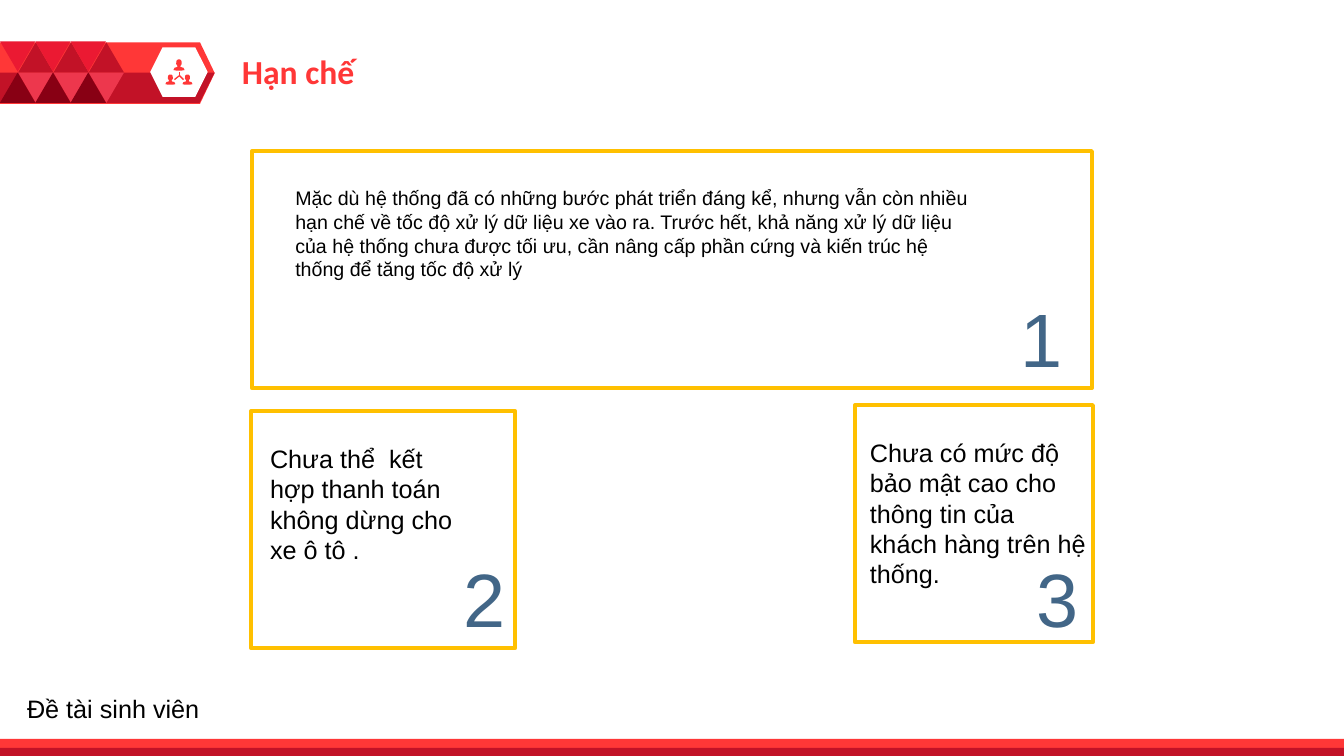
"""Build the slide "Hạn chế": three framed limitations under a red header band."""
from dataclasses import dataclass

from lxml.etree import SubElement
from pptx import Presentation
from pptx.dml.color import RGBColor
from pptx.enum.shapes import MSO_CONNECTOR, MSO_SHAPE
from pptx.enum.text import MSO_ANCHOR, MSO_AUTO_SIZE, PP_ALIGN
from pptx.oxml.ns import qn
from pptx.util import Inches, Pt


@dataclass(frozen=True)
class Theme:
    """Colours, fonts and type sizes of the slide."""
    red: str = "FF3737"
    dark_red: str = "C21227"
    crimson: str = "EB1932"
    rose: str = "ED374D"
    maroon: str = "880014"
    white: str = "FFFFFF"
    black: str = "000000"
    amber: str = "FFC000"
    blue: str = "426687"
    heading_font: str = "Calibri"
    body_font: str = "Arial"
    title_size: int = 24
    body_size: int = 18
    small_size: int = 14
    number_size: int = 54


theme = Theme()
presentation = Presentation()
presentation.slide_width, presentation.slide_height = Inches(13.33), Inches(7.5)
slide = presentation.slides.add_slide(presentation.slide_layouts[5])
shapes = slide.shapes


def paint(shape, fill=None, outline=None):
    """Set the fill and outline of a shape and drop its shadow."""
    shape.shadow.inherit = False
    if fill:
        shape.fill.solid()
        shape.fill.fore_color.rgb = RGBColor.from_string(fill)
    else:
        shape.fill.background()
    if outline:
        shape.line.color.rgb = RGBColor.from_string(outline)
        shape.line.width = Pt(3)
    else:
        shape.line.fill.background()


def write(shape, text, size, color, font=theme.body_font, bold=False, align=PP_ALIGN.LEFT):
    """Put one formatted paragraph into a shape."""
    frame = shape.text_frame
    frame.text = text
    frame_format = {
        "word_wrap": True, "auto_size": MSO_AUTO_SIZE.NONE, "vertical_anchor": MSO_ANCHOR.TOP,
        "margin_left": Inches(0.1), "margin_right": Inches(0.1),
        "margin_top": Inches(0.05), "margin_bottom": Inches(0.05),
    }
    for name, value in frame_format.items():
        setattr(frame, name, value)
    paragraph = frame.paragraphs[0]
    paragraph.alignment = align
    for name, value in {"name": font, "size": Pt(size), "bold": bold}.items():
        setattr(paragraph.runs[0].font, name, value)
    paragraph.runs[0].font.color.rgb = RGBColor.from_string(color)


band = shapes.add_shape(MSO_SHAPE.PENTAGON, *map(Inches, (0, 0.42, 2.13, 0.61)))
band.adjustments[0] = 0.239
paint(band, theme.red)

builder = shapes.build_freeform(Inches(0), Inches(0.72))
builder.add_line_segments([(Inches(x), Inches(y)) for x, y in ((2.13, 0.72), (1.98, 1.02), (0, 1.02))])
paint(builder.convert_to_shape(), theme.dark_red)

badge = shapes.add_shape(MSO_SHAPE.HEXAGON, *map(Inches, (1.49, 0.47, 0.57, 0.49)))
paint(badge, theme.white)

half_person = [(0.2, 0), (0.45, 0.12), (0.5, 0.4), (0.25, 0.6), (0.3, 0.68), (0.8, 0.75), (1, 0.95), (0.5, 1)]
person = half_person + [(-x, y) for x, y in reversed(half_person)]
for center, top, half_width, height in ((1.69, 0.74, 0.05, 0.1), (1.86, 0.74, 0.05, 0.1), (1.775, 0.59, 0.055, 0.11)):
    outline = [(Inches(center + x * half_width), Inches(top + y * height)) for x, y in person]
    builder = shapes.build_freeform(*outline[0])
    builder.add_line_segments(outline[1:])
    paint(builder.convert_to_shape(), theme.red)

for end_x, end_y in ((1.78, 0.71), (1.73, 0.79), (1.82, 0.79)):
    spoke = shapes.add_connector(MSO_CONNECTOR.STRAIGHT, *map(Inches, (1.78, 0.75, end_x, end_y)))
    spoke.line.color.rgb = RGBColor.from_string(theme.red)
    spoke.line.width = Pt(0.9)
    SubElement(spoke._element.spPr, qn("a:effectLst"))

triangle_width = 0.35
for column in range(3):
    for offset, top, rotation, color in (
        (0, 0.41, 180, theme.crimson),
        (0.18, 0.42, 0, theme.dark_red),
        (0.18, 0.72, 180, theme.rose),
        (0, 0.72, 0, theme.maroon),
    ):
        left = column * triangle_width + offset
        triangle = shapes.add_shape(MSO_SHAPE.ISOSCELES_TRIANGLE, *map(Inches, (left, top, triangle_width, 0.3)))
        triangle.rotation = rotation
        paint(triangle, color)

for top, height, color in ((7.33, 0.16, theme.red), (7.42, 0.08, theme.dark_red)):
    stripe = shapes.add_shape(MSO_SHAPE.RECTANGLE, *map(Inches, (0, top, 13.33, height)))
    paint(stripe, color)

title = shapes.title
for name, value in {"left": 2.3, "top": 0.45, "width": 4.22, "height": 0.5}.items():
    setattr(title, name, Inches(value))
write(title, "Hạn chế", theme.title_size, theme.red, theme.heading_font, bold=True)

limitations = [
    ((2.5, 1.5, 8.33, 2.35), (2.83, 1.8, 6.92, 1.04), (9, 2.85), theme.small_size,
     "Mặc dù hệ thống đã có những bước phát triển đáng kể, nhưng vẫn còn nhiều hạn chế về tốc độ "
     "xử lý dữ liệu xe vào ra. Trước hết, khả năng xử lý dữ liệu của hệ thống chưa được tối ưu, "
     "cần nâng cấp phần cứng và kiến trúc hệ thống để tăng tốc độ xử lý"),
    ((2.49, 4.08, 2.62, 2.35), (2.58, 4.35, 2.2, 1.31), (3.47, 5.43), theme.body_size,
     "Chưa thể  kết hợp thanh toán không dừng cho xe ô tô ."),
    ((8.48, 4.02, 2.36, 2.35), (8.53, 4.29, 2.36, 1.61), (9.16, 5.43), theme.body_size,
     "Chưa có mức độ bảo mật cao cho thông tin của khách hàng trên hệ thống."),
]
for number, (frame_box, text_box, number_corner, size, text) in enumerate(limitations, 1):
    card = shapes.add_shape(MSO_SHAPE.RECTANGLE, *map(Inches, frame_box))
    paint(card, outline=theme.amber)
    write(shapes.add_textbox(*map(Inches, text_box)), text, size, theme.black)
    number_box = shapes.add_textbox(*map(Inches, (*number_corner, 1.64, 1.01)))
    write(number_box, str(number), theme.number_size, theme.blue, align=PP_ALIGN.RIGHT)

footer = shapes.add_textbox(*map(Inches, (0.17, 6.83, 2.83, 0.4)))
write(footer, "Đề tài sinh viên", theme.body_size, theme.black)

presentation.save("out.pptx")
